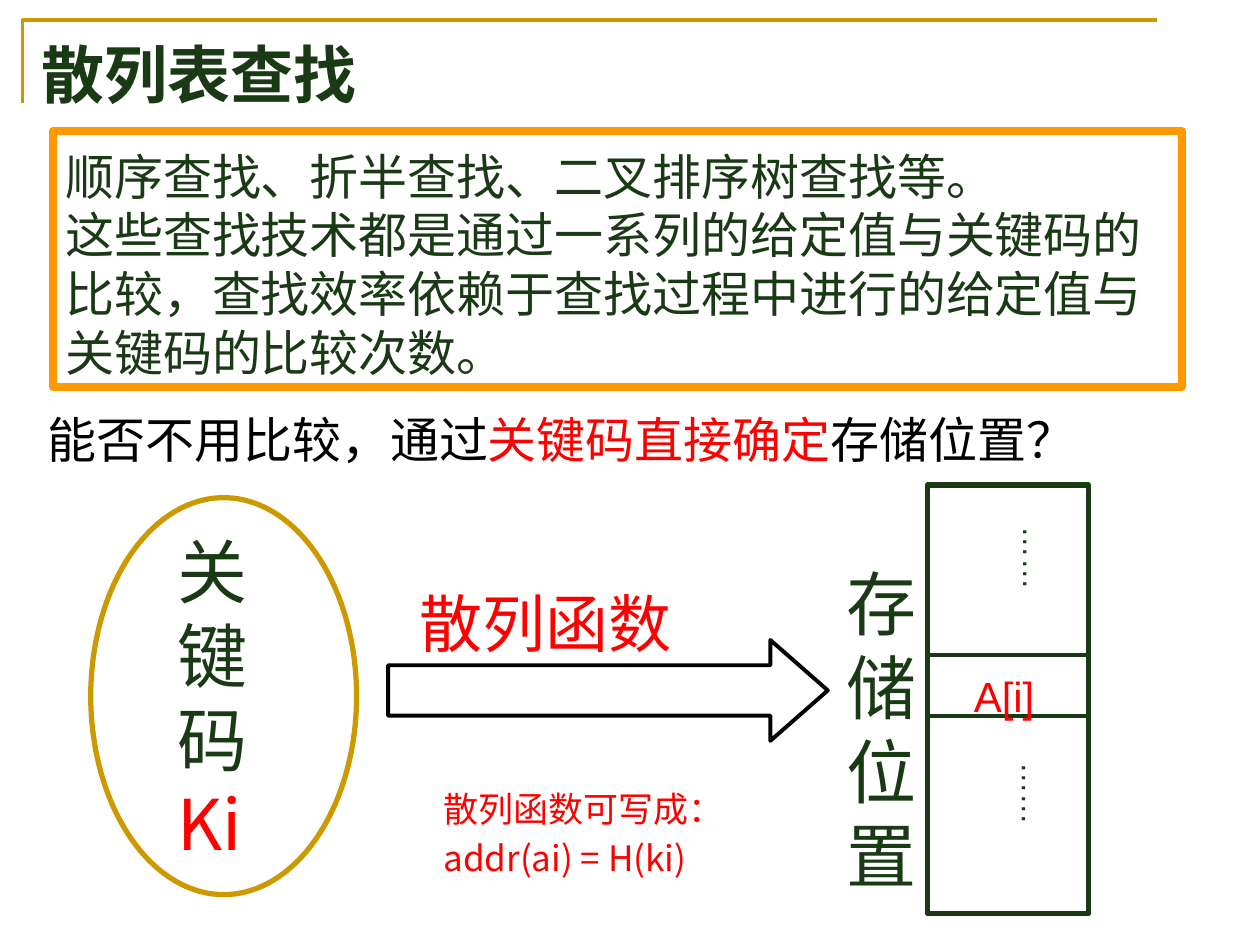
from lxml.etree import SubElement
from pptx import Presentation
from pptx.dml.color import RGBColor
from pptx.enum.shapes import MSO_CONNECTOR, MSO_SHAPE
from pptx.enum.text import MSO_ANCHOR, PP_ALIGN
from pptx.oxml.ns import qn
from pptx.util import Inches, Pt

GREEN = RGBColor(0x1A, 0x3A, 0x15)
GOLD = RGBColor(0xCC, 0x99, 0x00)
ORANGE = RGBColor(0xFF, 0x99, 0x00)
RED = RGBColor(0xFF, 0x00, 0x00)
BLACK = RGBColor(0x00, 0x00, 0x00)
CJK = "Noto Sans CJK SC"
LATIN = "Arial"
LINE_RATIO = 1.2
WIDTH, HEIGHT = 10, 7.5
STORE_LEFT, STORE_WIDTH = 7.36, 1.28


def set_values(target, values):
    """Set each attribute named in a dict of format values."""
    for name, value in values.items():
        setattr(target, name, value)


def add_span(para, text, size, color, font=CJK, bold=False):
    """Add one formatted run to a paragraph."""
    span = para.add_run()
    span.text = text
    set_values(span.font, {"size": Pt(size), "name": font, "bold": bold})
    span.font.color.rgb = color
    SubElement(span.font._element, qn("a:ea"), typeface=CJK)


def fill_text(frame, paras, size, font=CJK, top=None, before=0):
    """Write paragraphs, each a list of text and colour pairs."""
    set_values(frame, {
        "word_wrap": True,
        "vertical_anchor": MSO_ANCHOR.TOP,
        "margin_left": Inches(0.1),
        "margin_right": Inches(0.1),
        "margin_top": Inches(top or 0.05 + size * 0.1 / 72),
        "margin_bottom": Inches(0.05),
    })
    for index, spans in enumerate(paras):
        para = frame.add_paragraph() if index else frame.paragraphs[0]
        para.alignment = PP_ALIGN.LEFT
        if font == CJK:
            para.line_spacing = Pt(size * LINE_RATIO)
        if index:
            para.space_before = Pt(before)
        for text, color in spans:
            add_span(para, text, size, color, font)


def add_text(page, bounds, paras, size, **options):
    """Add a wrapped text box."""
    box = page.shapes.add_textbox(*map(Inches, bounds))
    fill_text(box.text_frame, paras, size, **options)


def add_outline(page, kind, bounds, color, weight):
    """Add an unfilled preset shape."""
    shape = page.shapes.add_shape(kind, *map(Inches, bounds))
    shape.shadow.inherit = False
    shape.fill.background()
    shape.line.color.rgb = color
    shape.line.width = Pt(weight)
    return shape


def add_divider(page, top):
    """Add a horizontal rule across the storage column."""
    ends = (STORE_LEFT, top, STORE_LEFT + STORE_WIDTH, top)
    rule = page.shapes.add_connector(MSO_CONNECTOR.STRAIGHT, *map(Inches, ends))
    rule.line.color.rgb = GREEN
    rule.line.width = Pt(2.25)
    SubElement(rule._element.spPr, qn("a:effectLst"))


def add_dots(page, left, top):
    """Add a vertical ellipsis."""
    box = page.shapes.add_textbox(*map(Inches, (left, top, 0.37, 0.9)))
    frame = box.text_frame
    set_values(frame, {
        "word_wrap": True,
        "margin_left": Inches(0.02),
        "margin_top": Inches(0.04),
        "margin_right": Inches(0.02),
        "margin_bottom": 0,
    })
    frame._txBody.bodyPr.set("vert", "eaVert")
    para = frame.paragraphs[0]
    set_values(para, {"alignment": PP_ALIGN.JUSTIFY, "line_spacing": 0.96})
    add_span(para, "……", 18, GREEN, LATIN)


def add_corner(page):
    """Draw the open corner rule around the title."""
    builder = page.shapes.build_freeform(Inches(0.18), Inches(0.82), scale=1.0)
    points = [(Inches(0.18), Inches(0.16)), (Inches(9.18), Inches(0.16))]
    builder.add_line_segments(points, close=False)
    corner = builder.convert_to_shape()
    corner.shadow.inherit = False
    corner.fill.background()
    corner.line.color.rgb = GOLD
    corner.line.width = Pt(2)


def set_title(page, text):
    """Place and format the title placeholder."""
    title = page.shapes.title
    set_values(title, {
        "left": Inches(0.23), "top": Inches(0.26),
        "width": Inches(9.34), "height": Inches(0.64),
    })
    title.text_frame.vertical_anchor = MSO_ANCHOR.MIDDLE
    para = title.text_frame.paragraphs[0]
    para.alignment = PP_ALIGN.LEFT
    add_span(para, text, 36, GREEN, bold=True)


def add_summary(page):
    """Add the framed summary and the question below it."""
    frame = add_outline(page, MSO_SHAPE.RECTANGLE, (0.42, 1.04, 8.96, 2.03), ORANGE, 4.5)
    fill_text(frame.text_frame, [
        [("顺序查找、折半查找、二叉排序树查找等。", GREEN)],
        [("这些查找技术都是通过一系列的给定值与关键码的比较，"
          "查找效率依赖于查找过程中进行的给定值与关键码的比较次数。", GREEN)],
    ], 28, top=0.12)
    add_text(page, (0.28, 3.16, 8.97, 0.57), [[
        ("能否不用比较，通过", BLACK), ("关键码直接确定", RED), ("存储位置？", BLACK),
    ]], 28)


def add_mapping(page):
    """Add the key, the hash function arrow and its formula."""
    add_text(page, (1.31, 4.09, 1.13, 2.79), [[("关键码", GREEN), ("Ki", RED)]], 40)
    add_outline(page, MSO_SHAPE.OVAL, (0.72, 3.95, 2.11, 3.15), GOLD, 3)
    arrow = add_outline(page, MSO_SHAPE.RIGHT_ARROW, (3.08, 5.08, 3.49, 0.8), BLACK, 2.25)
    arrow.adjustments[1] = 0.57
    add_text(page, (3.23, 4.54, 2.26, 0.71), [[("散列函数", RED)]], 36)
    formula = [[("散列函数可写成：", RED)], [("addr(ai) = H(ki)", RED)]]
    add_text(page, (3.42, 6.17, 2.61, 0.84), formula, 20, before=4)


def add_storage(page):
    """Add the storage column with its label and cells."""
    add_text(page, (6.62, 4.34, 0.54, 2.79), [[(char, GREEN)] for char in "存储位置"], 40)
    add_outline(page, MSO_SHAPE.RECTANGLE, (STORE_LEFT, 3.85, STORE_WIDTH, 3.4), GREEN, 3)
    for top in (5.2, 5.68):
        add_divider(page, top)
    for left, top in ((8, 4.14), (7.99, 6.01)):
        add_dots(page, left, top)
    add_text(page, (7.63, 5.24, 0.72, 0.5), [[("A[i]", RED)]], 24, font=LATIN)


def main():
    """Build and save the deck."""
    deck = Presentation()
    deck.slide_width, deck.slide_height = Inches(WIDTH), Inches(HEIGHT)
    page = deck.slides.add_slide(deck.slide_layouts[5])
    add_corner(page)
    set_title(page, "散列表查找")
    add_summary(page)
    add_mapping(page)
    add_storage(page)
    deck.save("out.pptx")


if __name__ == "__main__":
    main()
